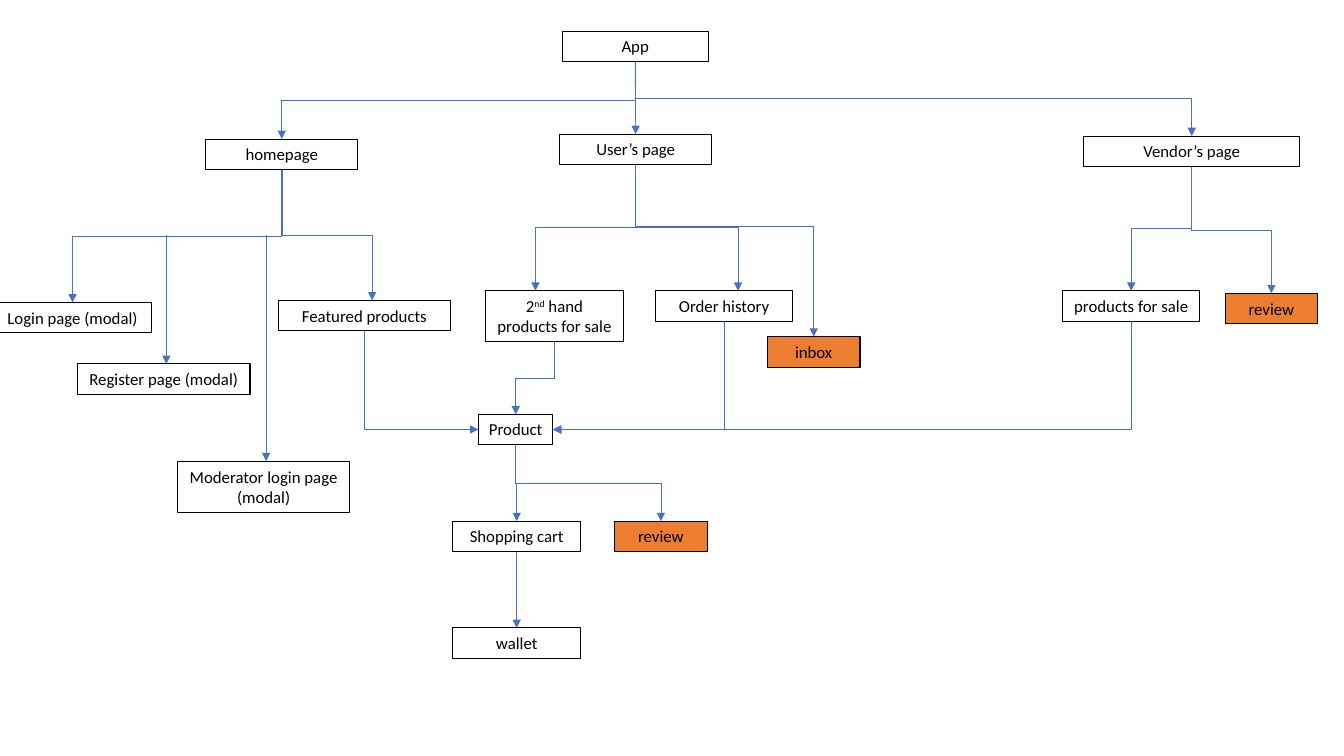
from dataclasses import dataclass

from lxml import etree
from pptx import Presentation
from pptx.dml.color import RGBColor
from pptx.enum.shapes import MSO_CONNECTOR
from pptx.enum.text import MSO_AUTO_SIZE, PP_ALIGN
from pptx.oxml.ns import qn
from pptx.util import Inches, Pt

STRAIGHT = MSO_CONNECTOR.STRAIGHT
ELBOW = MSO_CONNECTOR.ELBOW
GROW = MSO_AUTO_SIZE.SHAPE_TO_FIT_TEXT
CENTER = PP_ALIGN.CENTER
TOP, LEFT, BOTTOM, RIGHT = range(4)
CELL = Inches(0.1)
ONE_LINE, TWO_LINES = 3.03, 5.05


@dataclass(frozen=True)
class Theme:
    ink: RGBColor = RGBColor(0x00, 0x00, 0x00)
    link: RGBColor = RGBColor(0x44, 0x72, 0xC4)
    accent: RGBColor = RGBColor(0xED, 0x7D, 0x31)
    font: str = "Calibri"
    text_size: Pt = Pt(12)
    border: Pt = Pt(0.75)
    link_width: Pt = Pt(0.5)


def cells(*counts):
    return [round(count * CELL) for count in counts]


def assign(target, values):
    for name, value in values.items():
        setattr(target, name, value)


def side_point(box, side):
    middle_x = box.left + box.width // 2
    middle_y = box.top + box.height // 2
    return {
        TOP: (middle_x, box.top),
        LEFT: (box.left, middle_y),
        BOTTOM: (middle_x, box.top + box.height),
        RIGHT: (box.left + box.width, middle_y),
    }[side]


class SiteMap:
    def __init__(self, page, theme):
        self.page = page
        self.theme = theme

    def box(self, spans, column, row, columns, rows=ONE_LINE, accent=False):
        box = self.page.shapes.add_textbox(*cells(column, row, columns, rows))
        assign(box.text_frame, {"word_wrap": True, "auto_size": GROW})
        if accent:
            box.fill.solid()
            box.fill.fore_color.rgb = self.theme.accent
        box.line.color.rgb = self.theme.ink
        box.line.width = self.theme.border
        para = box.text_frame.paragraphs[0]
        para.alignment = CENTER
        for text, baseline in [(spans, 0)] if isinstance(spans, str) else spans:
            span = para.add_run()
            span.text = text
            assign(span.font, {"name": self.theme.font, "size": self.theme.text_size})
            span.font.color.rgb = self.theme.ink
            if baseline:
                span.font.fill
                span.font._element.set("baseline", str(baseline))
        return box

    def arrow(self, kind, begin, end):
        arrow = self.page.shapes.add_connector(kind, *begin, *end)
        arrow.line.color.rgb = self.theme.link
        arrow.line.width = self.theme.link_width
        properties = arrow.element.spPr
        etree.SubElement(properties.find(qn("a:ln")), qn("a:tailEnd"), type="triangle")
        etree.SubElement(properties, qn("a:effectLst"))
        return arrow

    def drop(self, column, top_row, bottom_row):
        self.arrow(STRAIGHT, cells(column, top_row), cells(column, bottom_row))

    def join(self, parent, child):
        arrow = self.arrow(STRAIGHT, side_point(parent, BOTTOM), side_point(child, TOP))
        arrow.begin_connect(parent, BOTTOM)
        arrow.end_connect(child, TOP)

    def branch(self, parent, child, side=TOP, column=None, bend=None):
        begin_x, begin_y = side_point(parent, BOTTOM)
        end_x, end_y = side_point(child, side)
        if column is not None:
            end_x = cells(column)[0]
        width, height = end_y - begin_y, abs(end_x - begin_x)
        left = (begin_x + end_x - width) // 2
        top = (begin_y + end_y - height) // 2
        arrow = self.arrow(ELBOW, (left, top), (left + width, top + height))
        properties = arrow.element.spPr
        frame = properties.find(qn("a:xfrm"))
        rightward = end_x > begin_x
        frame.set("rot", str((270 if rightward else 90) * 60000))
        if rightward:
            frame.set("flipH", "1")
        geometry = properties.find(qn("a:prstGeom"))
        if side != TOP:
            geometry.set("prst", "bentConnector2")
        if bend is not None:
            guides = geometry.find(qn("a:avLst"))
            etree.SubElement(guides, qn("a:gd"), name="adj1", fmla=f"val {round(bend * 100000)}")


def main():
    deck = Presentation()
    assign(deck, {"slide_width": Inches(13.33), "slide_height": Inches(7.5)})
    site = SiteMap(deck.slides.add_slide(deck.slide_layouts[6]), Theme())

    app = site.box("App", 55.75, 3.1, 14.5)
    homepage = site.box("homepage", 20.4, 13.8, 15.1)
    user = site.box("User’s page", 55.5, 13.3, 15.1)
    vendor = site.box("Vendor’s page", 107.5, 13.5, 21.4)
    login = site.box("Login page (modal)", -0.6, 30, 15.6)
    site.box("Register page (modal)", 7.7, 36.1, 17.1)
    site.box("Moderator login page (modal)", 17.6, 45.8, 17.1, TWO_LINES)
    featured = site.box("Featured products", 27.6, 29.8, 17.1)
    second_hand = site.box(
        [("2", 0), ("nd", 30000), (" hand products for sale", 0)],
        48.2, 28.85, 13.6, TWO_LINES,
    )
    orders = site.box("Order history", 65, 28.85, 13.65)
    inbox = site.box("inbox", 76.1, 33.4, 9.2, accent=True)
    vendor_products = site.box("products for sale", 105.4, 28.85, 13.6)
    vendor_review = site.box("review", 121.5, 29.1, 9.2, accent=True)
    product = site.box("Product", 47.45, 41.1, 7.4)
    cart = site.box("Shopping cart", 44.9, 51.7, 12.7)
    product_review = site.box("review", 60.95, 51.7, 9.2, accent=True)
    wallet = site.box("wallet", 44.9, 62.3, 12.7)

    for parent, child in [
        (app, homepage), (app, vendor), (homepage, login),
        (second_hand, product), (vendor, vendor_products), (vendor, vendor_review),
        (product, cart), (product, product_review),
    ]:
        site.branch(parent, child)
    for parent, child, column in [
        (homepage, featured, 36.9), (user, second_hand, 53.1), (user, orders, 73.2),
    ]:
        site.branch(parent, child, column=column)
    site.branch(user, inbox, bend=0.36)
    for parent, side in [(featured, LEFT), (orders, RIGHT), (vendor_products, RIGHT)]:
        site.branch(parent, product, side)
    for parent, child in [(app, user), (cart, wallet)]:
        site.join(parent, child)
    for column, bottom_row in [(16.5, 36.1), (26.4, 45.75)]:
        site.drop(column, 23.35, bottom_row)

    deck.save("out.pptx")


if __name__ == "__main__":
    main()
